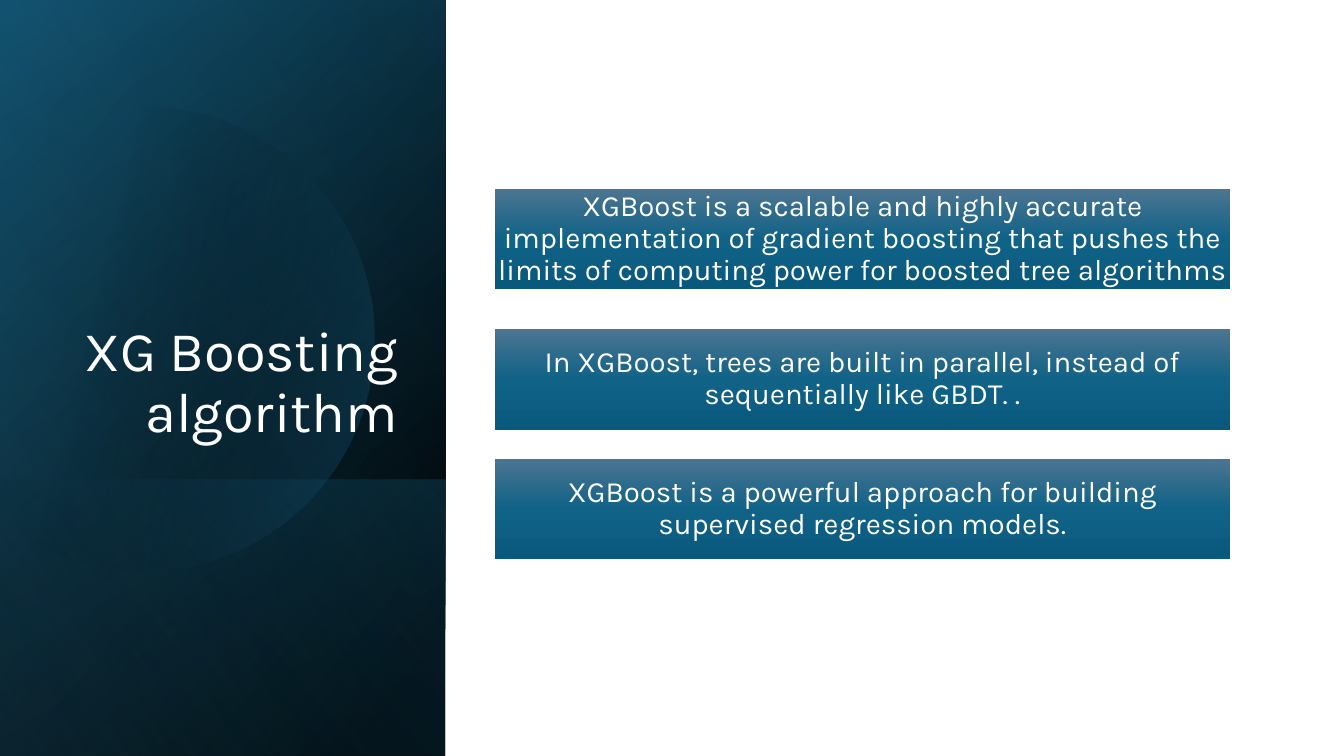
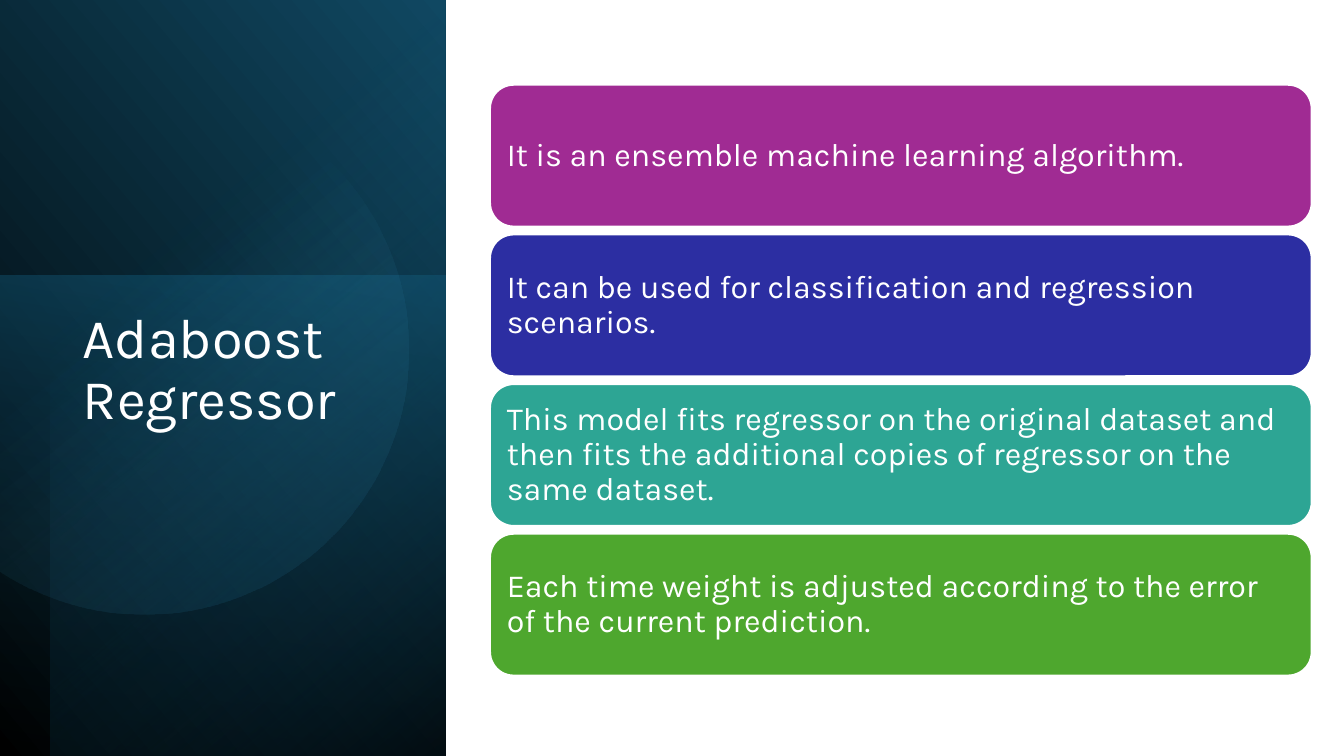
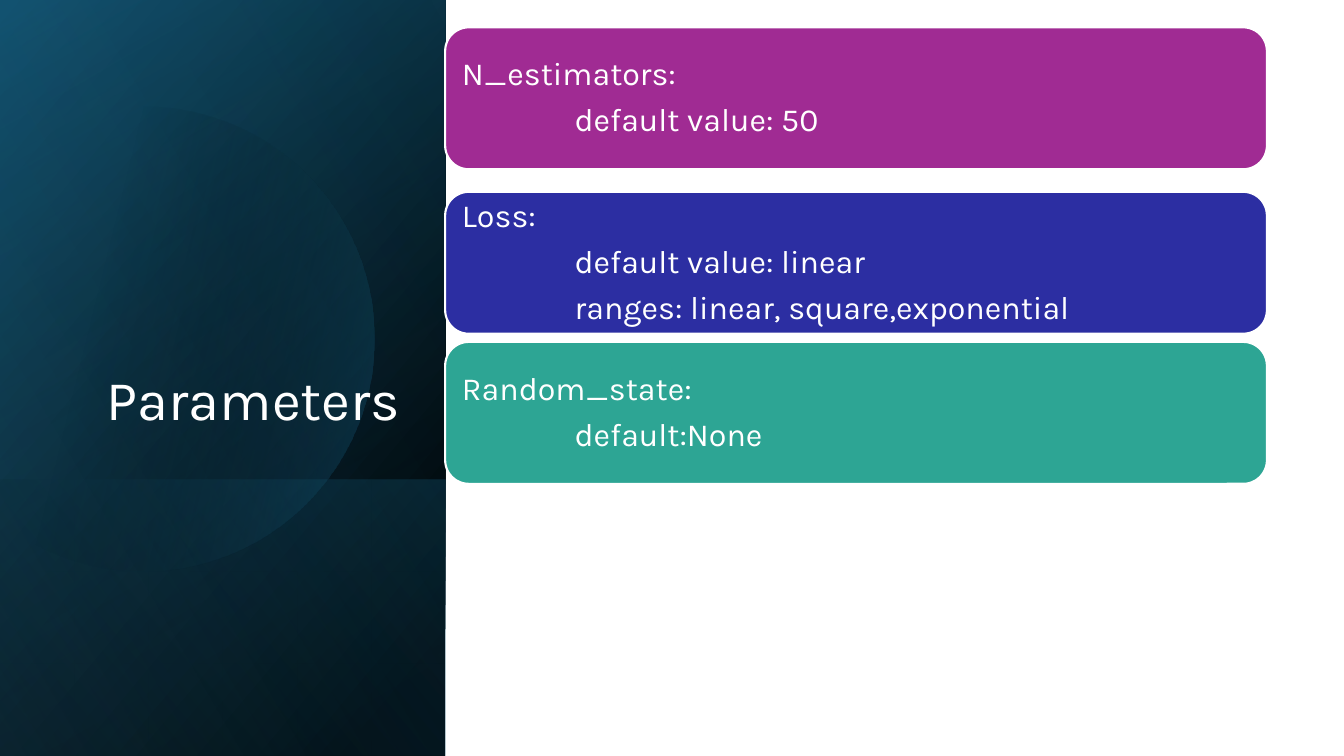
import math

from lxml import etree
from pptx import Presentation
from pptx.dml.color import RGBColor
from pptx.enum.shapes import MSO_SHAPE
from pptx.enum.text import MSO_ANCHOR, PP_ALIGN
from pptx.oxml.ns import qn
from pptx.util import Pt

RECT, ROUND = MSO_SHAPE.RECTANGLE, MSO_SHAPE.ROUNDED_RECTANGLE
LEFT, CENTER, RIGHT = PP_ALIGN.LEFT, PP_ALIGN.CENTER, PP_ALIGN.RIGHT
TOP, MIDDLE, BOTTOM = MSO_ANCHOR.TOP, MSO_ANCHOR.MIDDLE, MSO_ANCHOR.BOTTOM

FONT = "Karla"
WHITE = RGBColor(0xFF, 0xFF, 0xFF)
BLACK = RGBColor(0x00, 0x00, 0x00)
NAVY = RGBColor(0x10, 0x48, 0x62)
DEEP = RGBColor(0x0B, 0x30, 0x41)
TEAL = RGBColor(0x15, 0x60, 0x82)
SKY = RGBColor(0x46, 0xB1, 0xE1)
BAR_TOP = RGBColor(0x4C, 0x75, 0x91)
BAR_MID = RGBColor(0x10, 0x62, 0x87)
BAR_END = RGBColor(0x09, 0x59, 0x7D)
PURPLE = RGBColor(0xA0, 0x2B, 0x93)
INDIGO = RGBColor(0x2C, 0x2E, 0xA2)
SEA = RGBColor(0x2D, 0xA5, 0x94)
GREEN = RGBColor(0x4E, 0xA7, 0x2E)
CARD_FILLS = [PURPLE, INDIGO, SEA, GREEN]

SLIDE_W, SLIDE_H, PANEL_W = 960, 540, 318.24
FULL = (0, 0, PANEL_W, SLIDE_H)
INDENT = 80.5

# A layer is a box (left, top, width, height) or a disc (centre x, centre y,
# radius), then its gradient angle and stops (position %, colour, opacity %).
PANEL_DARK_RIGHT = [
    (FULL, 220, [(8, BLACK, 100), (100, NAVY, 100)]),
    (FULL, 240, [(0, BLACK, 0), (99, TEAL, 46)]),
    ((0, 342.72, PANEL_W, 197.28), 140, [(2, TEAL, 29), (100, BLACK, 30)]),
    ((102.2, 242, 165.6), 13.9, [(29, BLACK, 0), (100, TEAL, 43)]),
    (FULL, 150, [(0, BLACK, 0), (99, SKY, 11)]),
]
PANEL_DARK_LEFT = [
    (FULL, 320, [(0, BLACK, 100), (100, NAVY, 100)]),
    ((0, 197, PANEL_W, 343), 100, [(0, TEAL, 50), (100, DEEP, 0)]),
    ((36, 0, 282.24, SLIDE_H), 230, [(0, BLACK, 59), (69, TEAL, 0)]),
    ((103, 249.8, 189), 51.6, [(39, SKY, 0), (100, NAVY, 26)]),
]
BAR_STOPS = [(0, BAR_TOP, 100), (50, BAR_MID, 100), (100, BAR_END, 100)]

BOOSTING = [
    "XGBoost is a scalable and highly accurate implementation of gradient "
    "boosting that pushes the limits of computing power for boosted tree algorithms",
    "In XGBoost, trees are built in parallel, instead of sequentially like GBDT. .",
    "XGBoost is a powerful approach for building supervised regression models.",
]
ADABOOST = [
    "It is an ensemble machine learning algorithm.",
    "It can be used for classification and regression scenarios.",
    "This model fits regressor on the original dataset and then fits the "
    "additional copies of regressor on the same dataset.",
    "Each time weight is adjusted according to the error of the current prediction.",
]
PARAMETERS = [
    ["N_estimators:", "default value: 50"],
    ["Loss:", "default value: linear", "ranges: linear, square,exponential"],
    ["Random_state:", "default:None"],
]


def add_text(p, text, size, align):
    p.alignment = align
    p.line_spacing = 0.9
    r = p.add_run()
    r.text = text
    r.font.name, r.font.size, r.font.color.rgb = FONT, Pt(size), WHITE


def set_gradient(sp, angle, stops):
    """Fill with a linear gradient; the angle runs clockwise in degrees."""
    sp.fill.background()
    grad = etree.Element(qn("a:gradFill"), rotWithShape="1")
    stop_list = etree.SubElement(grad, qn("a:gsLst"))
    for position, color, opacity in stops:
        stop = etree.SubElement(stop_list, qn("a:gs"), pos=str(position * 1000))
        rgb = etree.SubElement(stop, qn("a:srgbClr"), val=str(color))
        if opacity < 100:
            etree.SubElement(rgb, qn("a:alpha"), val=str(opacity * 1000))
    etree.SubElement(grad, qn("a:lin"), ang=str(round(angle * 60000)), scaled="0")
    props = sp.element.spPr
    props.replace(props.find(qn("a:noFill")), grad)


def add_box(slide, kind, box):
    sp = slide.shapes.add_shape(kind, *[Pt(v) for v in box])
    sp.shadow.inherit = False
    sp.line.fill.background()
    return sp


def add_disc(slide, cx, cy, radius):
    """Draw a disc cut off at the left edge of the slide."""
    half = math.acos(-cx / radius)
    steps = 120
    angles = [half * (2 * i / steps - 1) for i in range(steps + 1)]
    points = [(Pt(max(0, cx + radius * math.cos(a))), Pt(cy + radius * math.sin(a)))
              for a in angles]
    builder = slide.shapes.build_freeform(*points[0])
    builder.add_line_segments(points[1:], close=True)
    sp = builder.convert_to_shape()
    sp.shadow.inherit = False
    sp.line.fill.background()
    return sp


def add_slide(prs, layers, title, box, align, anchor):
    """Add a slide with its side panel and the title on top of it."""
    slide = prs.slides.add_slide(prs.slide_layouts[5])
    for geometry, angle, stops in layers:
        if len(geometry) == 3:
            sp = add_disc(slide, *geometry)
        else:
            sp = add_box(slide, RECT, geometry)
        set_gradient(sp, angle, stops)
    sp = slide.shapes.title
    sp.left, sp.top, sp.width, sp.height = [Pt(v) for v in box]
    tf = sp.text_frame
    tf.word_wrap, tf.vertical_anchor = True, anchor
    add_text(tf.paragraphs[0], title, 40, align)
    sp.element.getparent().append(sp.element)
    return slide


def fill_text(sp, lines, size, align, inset):
    """Write the lines into a shape, indenting all but the first."""
    tf = sp.text_frame
    tf.word_wrap, tf.vertical_anchor = True, MIDDLE
    tf.margin_left = tf.margin_right = tf.margin_top = tf.margin_bottom = Pt(inset)
    for i, line in enumerate(lines):
        p = tf.add_paragraph() if i else tf.paragraphs[0]
        add_text(p, line, size, align)
        p.space_after = Pt(8)
        if i:
            p._p.get_or_add_pPr().set("marL", str(Pt(INDENT)))


def add_bars(slide, texts, tops):
    for text, top in zip(texts, tops):
        sp = add_box(slide, RECT, (353.5, top, 525, 72))
        set_gradient(sp, 90, BAR_STOPS)
        fill_text(sp, [text], 21, CENTER, 0.8)


def add_cards(slide, cards, left, tops):
    for lines, top, color in zip(cards, tops, CARD_FILLS):
        sp = add_box(slide, ROUND, (left, top, 587, 101.4))
        sp.fill.solid()
        sp.fill.fore_color.rgb = color
        sp.line.color.rgb, sp.line.width = WHITE, Pt(1.5)
        fill_text(sp, lines, 23, LEFT, 7.2)


def main():
    prs = Presentation()
    prs.slide_width, prs.slide_height = Pt(SLIDE_W), Pt(SLIDE_H)

    slide = add_slide(prs, PANEL_DARK_RIGHT, "XG Boosting algorithm",
                      (46, 132.5, 245.5, 188.6), RIGHT, BOTTOM)
    add_bars(slide, BOOSTING, [134.8, 235, 327.6])

    slide = add_slide(prs, PANEL_DARK_LEFT, "Adaboost Regressor",
                      (52, 218, 227, 242), LEFT, TOP)
    add_cards(slide, [[text] for text in ADABOOST], 350,
              [60.5 + 106.9 * i for i in range(len(ADABOOST))])

    slide = add_slide(prs, PANEL_DARK_RIGHT, "Parameters",
                      (16, 46, 277, 266.5), RIGHT, BOTTOM)
    add_cards(slide, PARAMETERS, 318, [19.5, 137, 244.2])

    prs.save("out.pptx")


if __name__ == "__main__":
    main()
